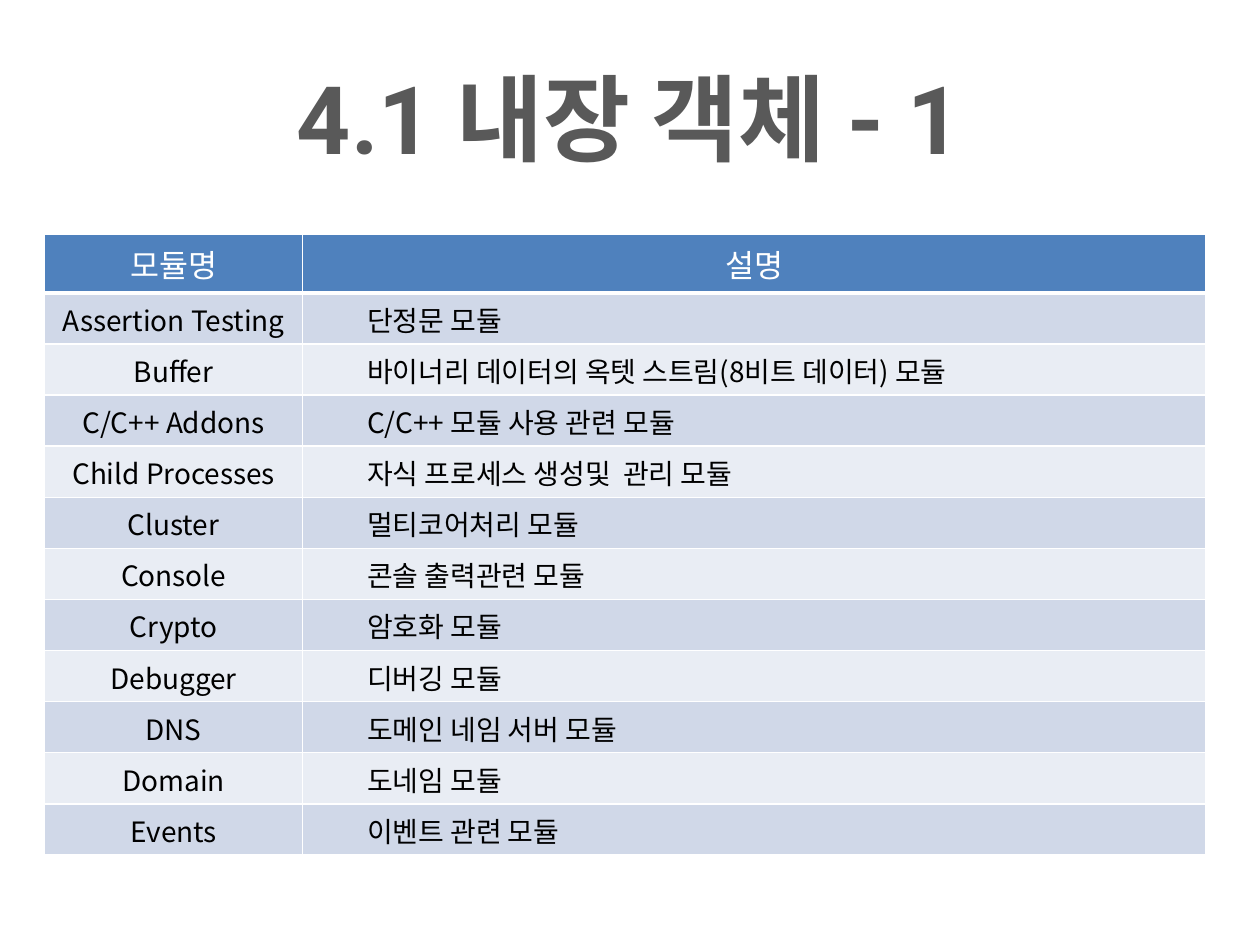
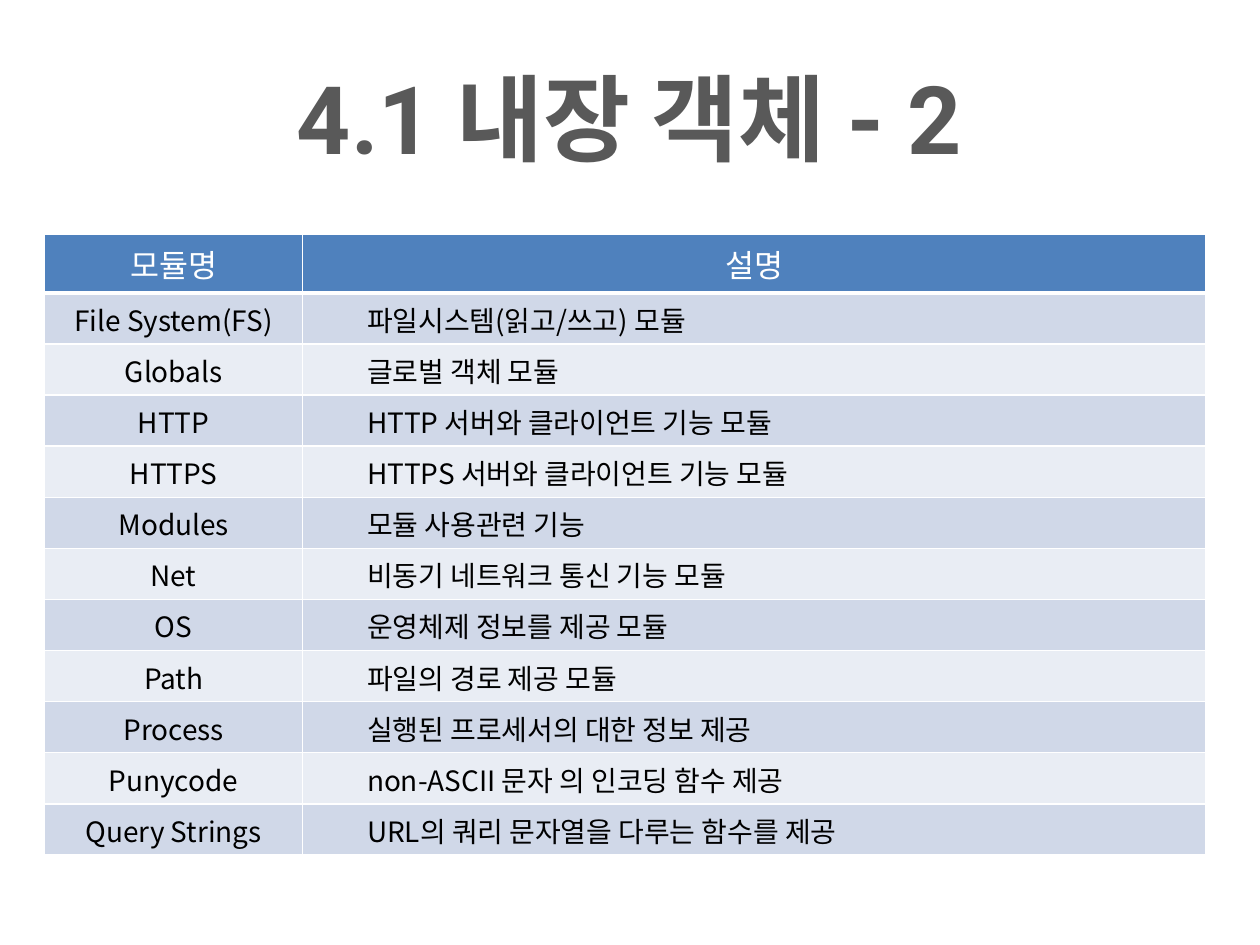
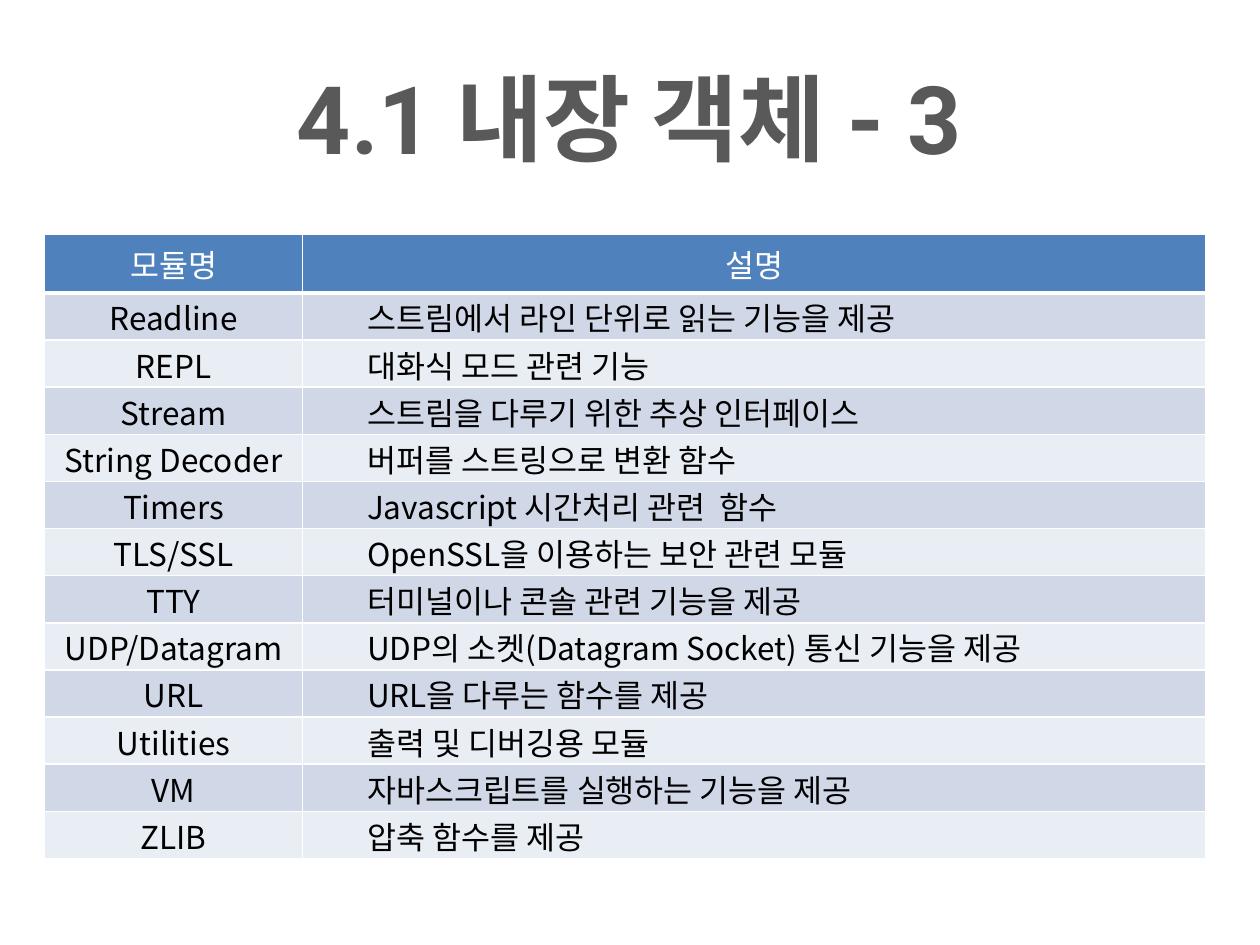
from dataclasses import dataclass

from lxml.etree import SubElement
from pptx import Presentation
from pptx.dml.color import RGBColor
from pptx.enum.text import MSO_ANCHOR, PP_ALIGN
from pptx.oxml.ns import qn
from pptx.util import Cm, Pt


@dataclass(frozen=True)
class Theme:
    # Colours
    title: str = "595959"
    head: str = "4F81BD"
    bands: tuple = ("D0D8E8", "E9EDF4")
    white: str = "FFFFFF"
    black: str = "000000"
    # Fonts and type sizes
    big: str = "Roboto"
    latin: str = "Calibri"
    asian: str = "Noto Sans CJK KR"
    title_size: int = 54
    head_size: int = 18


def apply(item, values):
    for name, value in values.items():
        setattr(item, name, value)


class Deck:
    def __init__(self, theme):
        self.theme = theme
        self.prs = Presentation()
        apply(self.prs, {"slide_width": Cm(25.4), "slide_height": Cm(19.05)})
        self.slide = None

    def text(self, frame, words, size, color, face, align, bold=False):
        para = frame.paragraphs[0]
        para.alignment = align
        run = para.add_run()
        run.text = words
        apply(run.font, {"size": Pt(size), "name": face, "bold": bold})
        run.font.color.rgb = RGBColor.from_string(color)
        east = SubElement(run.font._element, qn("a:ea"))
        east.set("typeface", self.theme.asian)
        return para

    def page(self, words):
        look = self.theme
        self.slide = self.prs.slides.add_slide(self.prs.slide_layouts[5])
        title = self.slide.shapes.title
        apply(title, {"left": Cm(1.27), "top": Cm(0.76),
                      "width": Cm(22.83), "height": Cm(3.18)})
        apply(title.text_frame, {"vertical_anchor": MSO_ANCHOR.MIDDLE,
                                 "word_wrap": True})
        self.text(title.text_frame, words, look.title_size, look.title,
                  look.big, PP_ALIGN.CENTER, True)

    def edges(self, cell, base=1):
        props = cell._tc.get_or_add_tcPr()
        for side, width in {"L": 1, "R": 1, "T": 1, "B": base}.items():
            line = SubElement(props, qn(f"a:ln{side}"), w=str(Pt(width)))
            fill = SubElement(line, qn("a:solidFill"))
            SubElement(fill, qn("a:srgbClr"), val=self.theme.white)

    def paint(self, cell, color):
        cell.fill.solid()
        cell.fill.fore_color.rgb = RGBColor.from_string(color)

    def table(self, rows, size, first, step):
        look = self.theme
        count = len(rows) + 1
        frame = self.slide.shapes.add_table(
            count, 2, Cm(0.9), Cm(4.73), Cm(23.4), Cm(first + step * len(rows)))
        grid = frame.table
        for col, width in zip(grid.columns, (5.2, 18.2)):
            col.width = Cm(width)
        for num, row in enumerate(grid.rows):
            row.height = Cm(step if num else first)

        # Header row
        for cell, words in zip(grid.rows[0].cells, HEADS):
            self.edges(cell, 3)
            self.paint(cell, look.head)
            self.text(cell.text_frame, words, look.head_size, look.white,
                      look.latin, PP_ALIGN.CENTER)

        # Banded body rows
        inset = {"margin_left": Cm(0.03), "margin_right": Cm(0.03),
                 "margin_top": Cm(0.03), "margin_bottom": 0,
                 "vertical_anchor": MSO_ANCHOR.MIDDLE}
        for num, row in enumerate(rows):
            for col, words in enumerate(row):
                cell = grid.cell(num + 1, col)
                apply(cell, inset)
                self.edges(cell)
                self.paint(cell, look.bands[num % 2])
                align = PP_ALIGN.LEFT if col else PP_ALIGN.CENTER
                para = self.text(cell.text_frame, words, size, look.black,
                                 look.asian, align)
                if col:
                    para.level = 1
                    apart = para._p.get_or_add_pPr()
                    apart.set("marL", str(Cm(1.27)))
                    apart.set("indent", "0")


HEADS = ("모듈명", "설명")

# Each page: type size, header height, row height, rows
PAGES = (
    (16, 1.03, 1.03, (
        ("Assertion Testing", "단정문 모듈"),
        ("Buffer", "바이너리 데이터의 옥텟 스트림(8비트 데이터) 모듈"),
        ("C/C++ Addons", "C/C++ 모듈 사용 관련 모듈"),
        ("Child Processes", "자식 프로세스 생성및  관리 모듈"),
        ("Cluster", "멀티코어처리 모듈"),
        ("Console", "콘솔 출력관련 모듈"),
        ("Crypto", "암호화 모듈"),
        ("Debugger", "디버깅 모듈"),
        ("DNS", "도메인 네임 서버 모듈"),
        ("Domain", "도네임 모듈"),
        ("Events", "이벤트 관련 모듈"),
    )),
    (16, 1.03, 1.03, (
        ("File System(FS)", "파일시스템(읽고/쓰고) 모듈"),
        ("Globals", "글로벌 객체 모듈"),
        ("HTTP", "HTTP 서버와 클라이언트 기능 모듈"),
        ("HTTPS", "HTTPS 서버와 클라이언트 기능 모듈"),
        ("Modules", "모듈 사용관련 기능"),
        ("Net", "비동기 네트워크 통신 기능 모듈"),
        ("OS", "운영체제 정보를 제공 모듈"),
        ("Path", "파일의 경로 제공 모듈"),
        ("Process", "실행된 프로세서의 대한 정보 제공"),
        ("Punycode", "non-ASCII 문자 의 인코딩 함수 제공"),
        ("Query Strings", "URL의 쿼리 문자열을 다루는 함수를 제공"),
    )),
    (18, 0.99, 0.95, (
        ("Readline", "스트림에서 라인 단위로 읽는 기능을 제공"),
        ("REPL", "대화식 모드 관련 기능"),
        ("Stream", "스트림을 다루기 위한 추상 인터페이스"),
        ("String Decoder", "버퍼를 스트링으로 변환 함수"),
        ("Timers", "Javascript 시간처리 관련  함수"),
        ("TLS/SSL", "OpenSSL을 이용하는 보안 관련 모듈"),
        ("TTY", "터미널이나 콘솔 관련 기능을 제공"),
        ("UDP/Datagram", "UDP의 소켓(Datagram Socket) 통신 기능을 제공"),
        ("URL", "URL을 다루는 함수를 제공"),
        ("Utilities", "출력 및 디버깅용 모듈"),
        ("VM", "자바스크립트를 실행하는 기능을 제공"),
        ("ZLIB", "압축 함수를 제공"),
    )),
)


def main():
    deck = Deck(Theme())
    for num, (size, first, step, rows) in enumerate(PAGES, 1):
        deck.page(f"4.1 내장 객체 - {num}")
        deck.table(rows, size, first, step)
    deck.prs.save("out.pptx")


if __name__ == "__main__":
    main()
